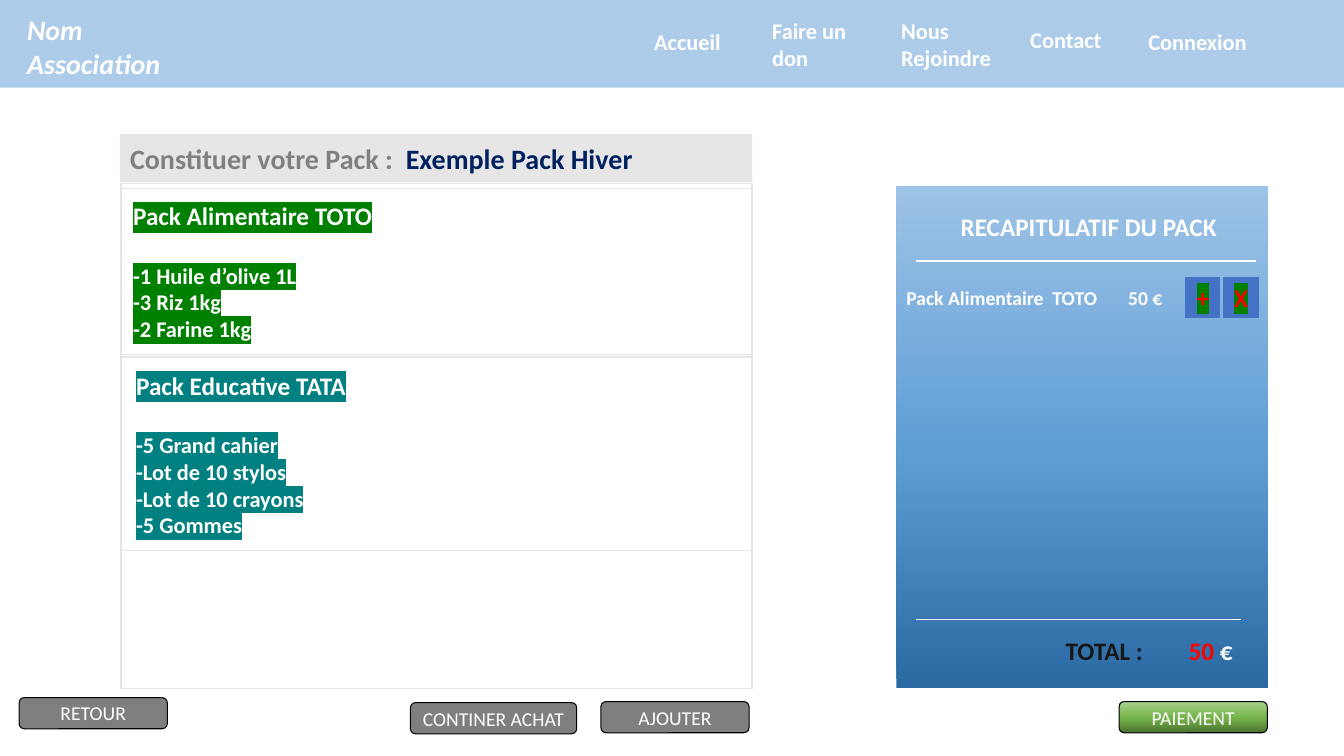
from lxml import etree
from pptx import Presentation
from pptx.dml.color import RGBColor
from pptx.enum import shapes as kinds, text as txt
from pptx.oxml.ns import qn
from pptx.util import Inches, Pt

WHITE, GREY, BLACK, RED = "FFFFFF", "E7E6E6", "000000", "FF0000"
GREEN, TEAL, BLUE = "008000", "008080", "4472C4"
RECT = kinds.MSO_SHAPE.RECTANGLE
ROUND = kinds.MSO_SHAPE.FLOWCHART_ALTERNATE_PROCESS
CENTER = txt.PP_ALIGN.CENTER
MIDDLE = txt.MSO_ANCHOR.MIDDLE


def paint(fill, color, alpha=None):
    fill.solid()
    fill.fore_color.rgb = RGBColor.from_string(color)
    if alpha:
        node = fill.fore_color._xFill.find(qn("a:srgbClr"))
        etree.SubElement(node, qn("a:alpha"), val=str(alpha * 1000))


def blend(shape, colors):
    """Three-stop gradient that rises from the bottom edge."""
    shape.fill.gradient()
    shape.fill.gradient_angle = 90
    stops = shape.element.spPr.find(".//" + qn("a:gsLst"))
    stops[:] = []
    for pos, color in zip((0, 48, 100), colors):
        stop = etree.SubElement(stops, qn("a:gs"), pos=str(pos * 1000))
        etree.SubElement(stop, qn("a:srgbClr"), val=color)


def style(run, size, color, bold=True, mark=None):
    font = run.font
    font.name, font.size, font.bold = "Calibri", Pt(size), bold
    paint(font.fill, color)
    if mark:
        light = etree.Element(qn("a:highlight"))
        etree.SubElement(light, qn("a:srgbClr"), val=mark)
        run._r.rPr.find(qn("a:solidFill")).addnext(light)


def place(shape, box):
    shape.left, shape.top, shape.width, shape.height = map(Inches, box)


def label(slide, box, words, size, color=WHITE):
    frame = slide.shapes.add_textbox(*map(Inches, box)).text_frame
    frame.word_wrap = True
    frame.text = words
    style(frame.paragraphs[0].runs[0], size, color)
    return frame.paragraphs[0]


def tab(para, pos):
    tabs = etree.SubElement(para._p.get_or_add_pPr(), qn("a:tabLst"))
    etree.SubElement(tabs, qn("a:tab"), pos=str(Inches(pos)), algn="l")


def block(slide, box, fill=None, alpha=None, line=None, width=1, kind=RECT):
    shape = slide.shapes.add_shape(kind, *map(Inches, box))
    shape.shadow.inherit = False
    if fill:
        paint(shape.fill, fill, alpha)
    else:
        shape.fill.background()
    if line:
        paint(shape.line.fill, line)
        shape.line.width = Pt(width)
    else:
        shape.line.fill.background()
    return shape


def center(shape, words, size, color, bold=False, mark=None):
    frame = shape.text_frame
    frame.word_wrap = False
    frame.vertical_anchor = MIDDLE
    frame.text = words
    frame.paragraphs[0].alignment = CENTER
    style(frame.paragraphs[0].runs[0], size, color, bold, mark)


def button(slide, box, words):
    shape = block(slide, box, BLACK, 50, BLACK, 0.75, ROUND)
    center(shape, words, 14, WHITE)
    return shape


def rule(slide, left, right, y, width):
    line = slide.shapes.add_connector(
        kinds.MSO_CONNECTOR.STRAIGHT, *map(Inches, (left, y, right, y)))
    paint(line.line.fill, WHITE)
    line.line.width = Pt(width)
    etree.SubElement(line.element.spPr, qn("a:effectLst"))


def pack(holder, box, lines, mark):
    """Pack name, a gap, then its items, all highlighted."""
    place(holder, box)
    frame = holder.text_frame
    frame.text = "\n".join(lines)
    frame.auto_size = txt.MSO_AUTO_SIZE.NONE
    for i, para in enumerate(frame.paragraphs):
        para.space_before = Pt(22 if i == 1 else 0)
        props = para._p.get_or_add_pPr()
        props.set("marL", "0")
        props.set("indent", "0")
        etree.SubElement(props, qn("a:buNone"))
        style(para.runs[0], 16 if i else 18, WHITE, mark=mark)


def header(slide):
    block(slide, (0, 0, 13.33, 0.87), "5B9BD5", 50)
    for left, top, width, height, words in (
            (6.39, 0.23, 0.96, 0.37, "Accueil"),
            (7.56, 0.12, 0.96, 0.64, "Faire un don"),
            (8.84, 0.12, 1.17, 0.64, "Nous Rejoindre"),
            (10.12, 0.21, 0.96, 0.37, "Contact"),
            (11.29, 0.23, 1.28, 0.37, "Connexion")):
        label(slide, (left, top, width, height), words, 16)
    name = label(slide, (0.17, 0.08, 1.54, 0.77), "Nom Association", 20)
    name.runs[0].font.italic = True


def packs(slide):
    title, first, second = slide.placeholders
    # Heading bar
    place(title, (1.19, 1.33, 6.27, 0.48))
    paint(title.fill, GREY)
    frame = title.text_frame
    frame.text = "Constituer votre Pack :  "
    frame.auto_size = txt.MSO_AUTO_SIZE.NONE
    frame.vertical_anchor = MIDDLE
    para = frame.paragraphs[0]
    para.alignment = txt.PP_ALIGN.LEFT
    para.add_run().text = "Exemple Pack Hiver"
    for run, color in zip(para.runs, ("808080", "002060")):
        style(run, 20, color)
    # Frames and lists
    for top, height in ((1.87, 1.65), (3.54, 1.92), (1.82, 5.01)):
        block(slide, (1.2, top, 6.26, height), line=GREY)
    pack(first, (1.22, 1.94, 5.91, 1.51),
         ("Pack Alimentaire TOTO", "-1 Huile d’olive 1L", "-3 Riz 1kg",
          "-2 Farine 1kg"), GREEN)
    pack(second, (1.25, 3.62, 5.9, 1.78),
         ("Pack Educative TATA", "-5 Grand cahier", "-Lot de 10 stylos",
          "-Lot de 10 crayons", "-5 Gommes"), TEAL)


def recap(slide):
    panel = block(slide, (8.89, 1.85, 3.69, 4.98))
    blend(panel, ("2A69A2", "609ED6", "9DC3E6"))
    label(slide, (9.43, 2.05, 2.76, 0.4), "RECAPITULATIF DU PACK", 18)
    rule(slide, 9.09, 12.46, 2.59, 1.5)
    rule(slide, 9.09, 12.31, 6.15, 0.75)
    # Pack line with its two controls
    tab(label(slide, (8.89, 2.79, 2.79, 0.34),
              "Pack Alimentaire  TOTO\t50 €", 14), 2.2)
    for left, sign in ((11.76, "+"), (12.14, "X")):
        key = block(slide, (left, 2.75, 0.34, 0.4), BLUE, None, BLUE, 0.75)
        center(key, sign, 18, RED, True, GREEN)
    # Total
    total = label(slide, (10.47, 6.25, 1.87, 0.4), "TOTAL :\t", 18, "181717")
    tab(total, 1.22)
    for words, color in (("50 ", RED), ("€", WHITE)):
        run = total.add_run()
        run.text = words
        style(run, 18, color)


def main():
    deck = Presentation()
    deck.slide_width, deck.slide_height = Inches(13.33), Inches(7.5)
    slide = deck.slides.add_slide(deck.slide_layouts[3])
    header(slide)
    packs(slide)
    recap(slide)
    # Buttons
    button(slide, (0.19, 6.92, 1.47, 0.31), "RETOUR")
    button(slide, (4.07, 6.97, 1.65, 0.31), "CONTINER ACHAT")
    button(slide, (5.96, 6.96, 1.47, 0.31), "AJOUTER")
    pay = button(slide, (11.1, 6.96, 1.47, 0.31), "PAIEMENT")
    blend(pay, ("4B7430", "74B349", "A9D18E"))
    deck.save("out.pptx")


if __name__ == "__main__":
    main()
